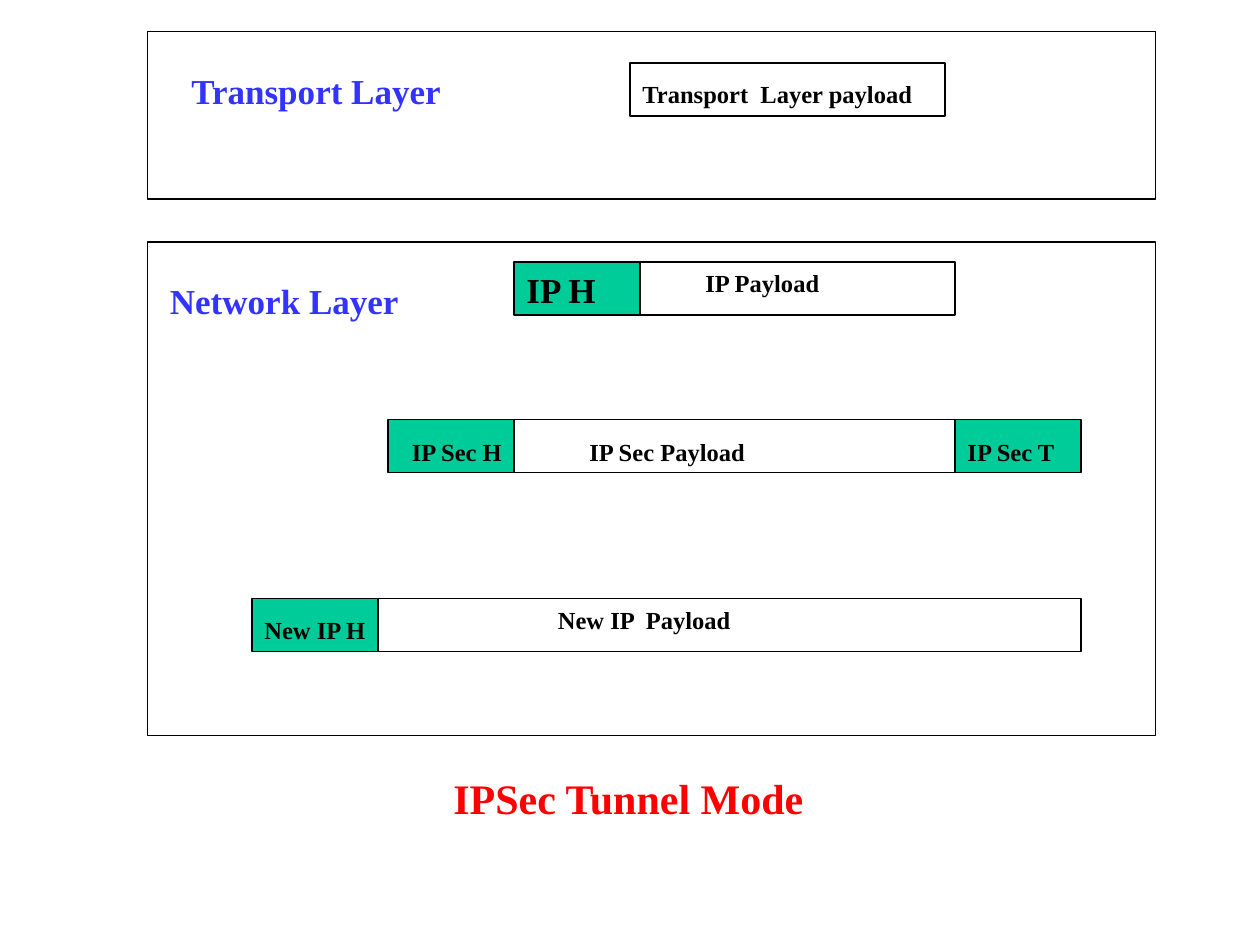
"""Build the IPSec tunnel mode slide."""
import pptx
import pptx.dml.color
import pptx.enum.shapes
import pptx.enum.text
import pptx.util

Inches = pptx.util.Inches
RGBColor = pptx.dml.color.RGBColor
BLACK = RGBColor(0x00, 0x00, 0x00)
GREEN = RGBColor(0x00, 0xCC, 0x99)
BLUE = RGBColor(0x33, 0x33, 0xFF)
RED = RGBColor(0xFF, 0x00, 0x00)


class Painter:
    """Holds the style and the current slide."""

    font = "Times New Roman"
    line = pptx.util.Pt(0.75)
    tall = {14: 0.34, 20: 0.44, 24: 0.5}

    def __init__(self, slide):
        """Keep the slide to draw on."""
        self.slide = slide

    def box(self, left, top, width, height=0.42, fill=None):
        """Draw an outlined rectangle, filled if a colour is given."""
        shape = self.slide.shapes.add_shape(
            pptx.enum.shapes.MSO_SHAPE.RECTANGLE,
            Inches(left), Inches(top), Inches(width), Inches(height))
        shape.shadow.inherit = False
        if fill is None:
            shape.fill.background()
        else:
            shape.fill.solid()
            shape.fill.fore_color.rgb = fill
        shape.line.color.rgb = BLACK
        shape.line.width = self.line

    def label(self, text, left, top, width, size=14, color=BLACK, height=None):
        """Write one bold line of text."""
        area = self.slide.shapes.add_textbox(
            Inches(left), Inches(top), Inches(width),
            Inches(height or self.tall[size]))
        frame = area.text_frame
        frame.word_wrap = True
        frame.auto_size = pptx.enum.text.MSO_AUTO_SIZE.SHAPE_TO_FIT_TEXT
        para = frame.paragraphs[0]
        para.text = text
        para.font.name = self.font
        para.font.size = pptx.util.Pt(size)
        para.font.bold = True
        para.font.color.rgb = color


def main():
    """Draw the packets, their labels and the two layers."""
    deck = pptx.Presentation()
    deck.slide_width, deck.slide_height = Inches(10), Inches(7.5)
    pen = Painter(deck.slides.add_slide(deck.slide_layouts[6]))

    for left, top, width in ((5, 0.5, 2.5), (5.08, 2.08, 2.5),
                             (4.08, 3.33, 3.5), (3, 4.75, 5.58)):
        pen.box(left, top, width)
    for left, top in ((4.08, 2.08), (3.08, 3.33), (7.58, 3.33), (2, 4.75)):
        pen.box(left, top, 1, fill=GREEN)

    pen.label("Transport  Layer payload", 5, 0.58, 3.42)
    pen.label("IP Payload", 5.5, 2.08, 1.83)
    pen.label("IP H", 4.08, 2.08, 1.08, 20)
    pen.label("IP Sec Payload", 4.58, 3.42, 1.83)
    pen.label("IP Sec H", 3.17, 3.42, 0.92, height=0.57)
    pen.label("IP Sec T", 7.58, 3.42, 0.92)
    pen.label("New IP  Payload", 4.33, 4.75, 1.83)
    pen.label("New IP H", 2, 4.83, 1.08)

    pen.box(1.17, 0.25, 8, 1.33)
    pen.box(1.17, 1.92, 8, 3.92)
    pen.label("Transport Layer", 1.42, 0.5, 2.83, 20, BLUE)
    pen.label("Network Layer", 1.25, 2.17, 2.58, 20, BLUE)
    pen.label("IPSec Tunnel Mode", 3.5, 6.08, 3.42, 24, RED)
    deck.save("out.pptx")


if __name__ == "__main__":
    main()
